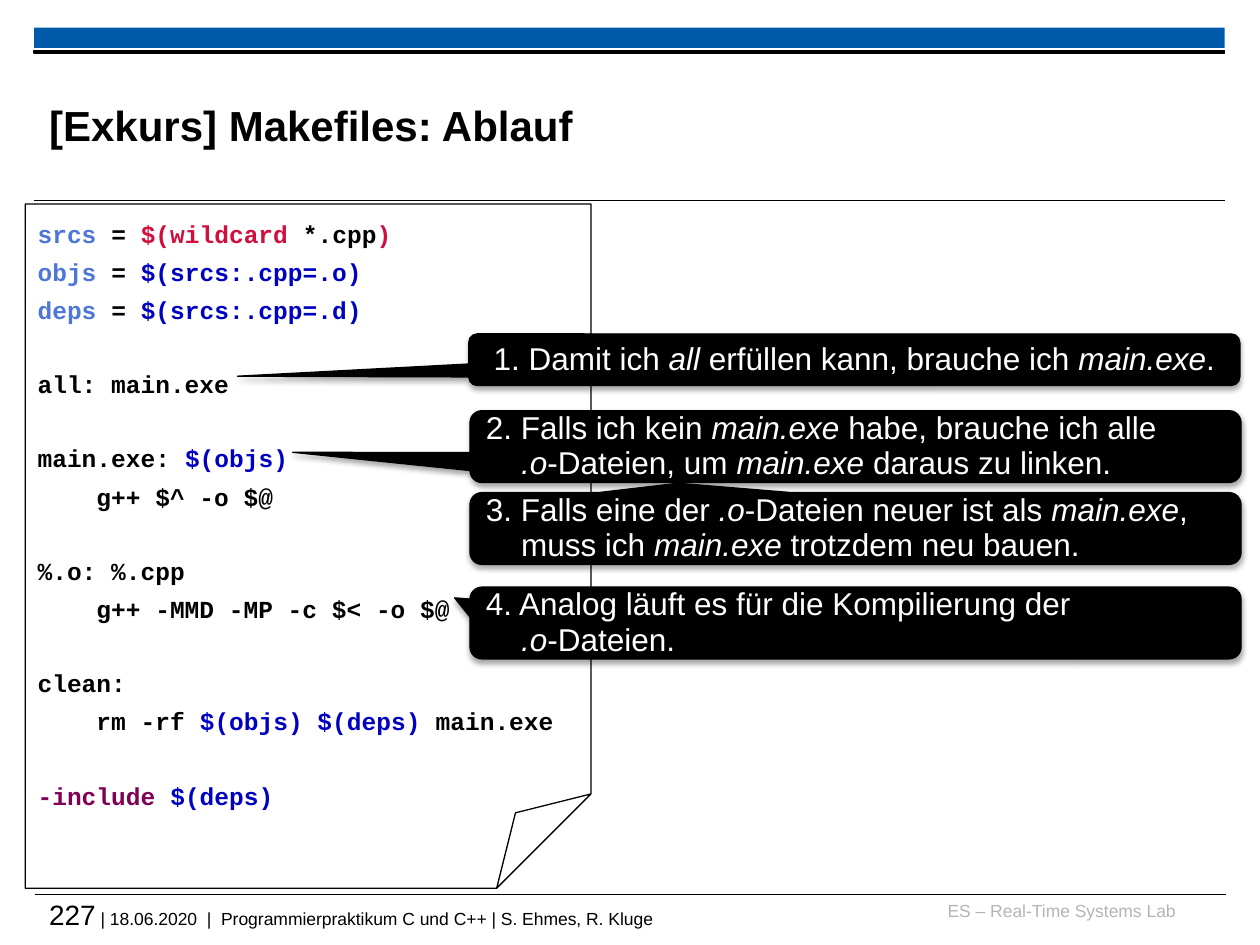
"""Build the slide that explains how a makefile is processed."""
from lxml import etree
from pptx import Presentation
from pptx.dml.color import RGBColor
from pptx.enum.shapes import MSO_CONNECTOR as CONN, MSO_SHAPE as SHAPE
from pptx.enum.text import MSO_ANCHOR as ANCHOR, PP_ALIGN as ALIGN
from pptx.oxml import parse_xml
from pptx.oxml.ns import nsdecls, qn
from pptx.util import Inches, Pt

COLORS = {
    "text": "000000", "bar": "005AA9", "muted": "B5B5B5", "light": "FFFFFF",
    "var": "4E76D6", "func": "D00F3F", "ref": "0000C0", "directive": "7F0055",
}
SANS, MONO = "Arial", "Courier New"

TITLE = "[Exkurs] Makefiles: Ablauf"
LAB = "ES – Real-Time Systems Lab"
PAGE = "227"
FOOTER = " | 18.06.2020  |  Programmierpraktikum C und C++ | S. Ehmes, R. Kluge"

CODE_BLOCKS = [
    [
        [("srcs ", "var"), ("= ", "text"), ("$(wildcard", "func"),
         (" *.cpp", "text"), (")", "func")],
        [("objs ", "var"), ("= ", "text"), ("$(srcs:.cpp=.o)", "ref")],
        [("deps ", "var"), ("= ", "text"), ("$(srcs:.cpp=.d)", "ref")],
    ],
    [[("all: main.exe", "text")]],
    [
        [("main.exe: ", "text"), ("$(objs)", "ref")],
        [("    g++ $^ -o $@", "text")],
    ],
    [
        [("%.o: %.cpp", "text")],
        [("    g++ -MMD -MP -c $< -o $@", "text")],
    ],
    [
        [("clean:", "text")],
        [("    rm -rf ", "text"), ("$(objs) $(deps)", "ref"), (" main.exe", "text")],
    ],
    [[("-include ", "directive"), ("$(deps)", "ref")]],
]
LINE_GAP, BLOCK_GAP = 3.8, 24.5

CALLOUTS = [
    ("1. Damit ich *all* erfüllen kann, brauche ich *main.exe*.",
     (3.72, 2.65, 6.12, 0.41), (-0.8, 0.32), ALIGN.CENTER),
    ("2. Falls ich kein *main.exe* habe, brauche ich alle\v*.o*-Dateien, um *main.exe* daraus zu linken.",
     (3.73, 3.26, 6.12, 0.57), (-0.73, 0.08), ALIGN.LEFT),
    ("3. Falls eine der *.o*-Dateien neuer ist als *main.exe*,\vmuss ich *main.exe* trotzdem neu bauen.",
     (3.73, 3.91, 6.12, 0.57), (-0.23, -0.63), ALIGN.LEFT),
    ("4. Analog läuft es für die Kompilierung der\v*.o*-Dateien.",
     (3.73, 4.66, 6.12, 0.57), (-0.52, -0.35), ALIGN.LEFT),
]

SHADOW = (
    f'<a:effectLst {nsdecls("a")}><a:outerShdw blurRad="{Pt(3.1)}" dist="{Pt(1.8)}" '
    'dir="5400000" rotWithShape="0"><a:srgbClr val="000000"><a:alpha val="35000"/>'
    '</a:srgbClr></a:outerShdw></a:effectLst>'
)


def rgb(name):
    return RGBColor.from_string(COLORS[name])


def add_run(p, text, size, color="text", font=SANS, bold=False, italic=False):
    for i, part in enumerate(text.split("\v")):
        if i:
            p.add_line_break()
        if part:
            r = p.add_run()
            r.text = part
            f = r.font
            f.name, f.size, f.bold, f.italic = font, Pt(size), bold, italic
            f.color.rgb = rgb(color)


def add_text(s, box, inset=True, anchor=ANCHOR.TOP):
    tf = s.shapes.add_textbox(*map(Inches, box)).text_frame
    tf.word_wrap, tf.vertical_anchor = True, anchor
    if not inset:
        tf.margin_left = tf.margin_right = tf.margin_top = tf.margin_bottom = 0
    return tf


def add_shape(s, kind, box, fill=None, line=None):
    sp = s.shapes.add_shape(kind, *map(Inches, box))
    sp.shadow.inherit = False
    if fill:
        sp.fill.solid()
        sp.fill.fore_color.rgb = rgb(fill)
    else:
        sp.fill.background()
    if line:
        sp.line.color.rgb, sp.line.width = rgb(line), Pt(0.75)
    else:
        sp.line.fill.background()
    return sp


def add_rule(s, left, y, width):
    ln = s.shapes.add_connector(CONN.STRAIGHT, *map(Inches, (left, y, left + width, y)))
    ln.line.color.rgb, ln.line.width = rgb("text"), Pt(0.6)
    etree.SubElement(ln._element.spPr, qn("a:effectLst"))


def add_frame(s):
    add_rule(s, 0.28, 7.1, 9.45)
    add_shape(s, SHAPE.RECTANGLE, (0.27, 0.22, 9.45, 0.16), "bar")
    add_rule(s, 0.27, 1.59, 9.45)
    add_shape(s, SHAPE.RECTANGLE, (0.27, 0.4, 9.45, 0.02), "text", "text")
    p = add_text(s, (7.36, 7.14, 1.97, 0.25), inset=False).paragraphs[0]
    p.alignment = ALIGN.RIGHT
    add_run(p, LAB, 10, "muted")
    p = add_text(s, (0.39, 7.12, 9.33, 0.33), inset=False).paragraphs[0]
    add_run(p, PAGE, 16)
    add_run(p, FOOTER, 10)
    tf = add_text(s, (0.39, 0.53, 7.52, 0.92), inset=False, anchor=ANCHOR.MIDDLE)
    add_run(tf.paragraphs[0], TITLE, 24, bold=True)


def add_code(s):
    add_shape(s, SHAPE.FOLDED_CORNER, (0.2, 1.62, 4.49, 5.43), line="text")
    tf = add_text(s, (0.2, 1.67, 4.32, 5.38))
    for b, block in enumerate(CODE_BLOCKS):
        for i, line in enumerate(block):
            first = b == i == 0
            p = tf.paragraphs[0] if first else tf.add_paragraph()
            p.line_spacing = 1.07
            p.space_before = Pt(0 if first else LINE_GAP if i else BLOCK_GAP)
            for text, color in line:
                add_run(p, text, 14, color, MONO, bold=True)


def add_callout(s, text, box, tip, align):
    sp = add_shape(s, SHAPE.ROUNDED_RECTANGULAR_CALLOUT, box, "text", "text")
    sp.adjustments[0], sp.adjustments[1] = tip
    spPr = sp._element.spPr
    spPr.replace(spPr.find(qn("a:effectLst")), parse_xml(SHADOW))
    tf = sp.text_frame
    tf.word_wrap, tf.vertical_anchor = True, ANCHOR.MIDDLE
    p = tf.paragraphs[0]
    p.alignment, p.line_spacing = align, 0.93
    if align == ALIGN.LEFT:
        pPr = p._p.get_or_add_pPr()
        pPr.set("marL", str(Inches(0.28)))
        pPr.set("indent", str(-Inches(0.28)))
    for i, part in enumerate(text.split("*")):
        add_run(p, part, 18, "light", italic=i % 2 == 1)


def main():
    prs = Presentation()
    prs.slide_width, prs.slide_height = Inches(10), Inches(7.5)
    s = prs.slides.add_slide(prs.slide_layouts[6])
    add_frame(s)
    add_code(s)
    for callout in CALLOUTS:
        add_callout(s, *callout)
    prs.save("out.pptx")


if __name__ == "__main__":
    main()
